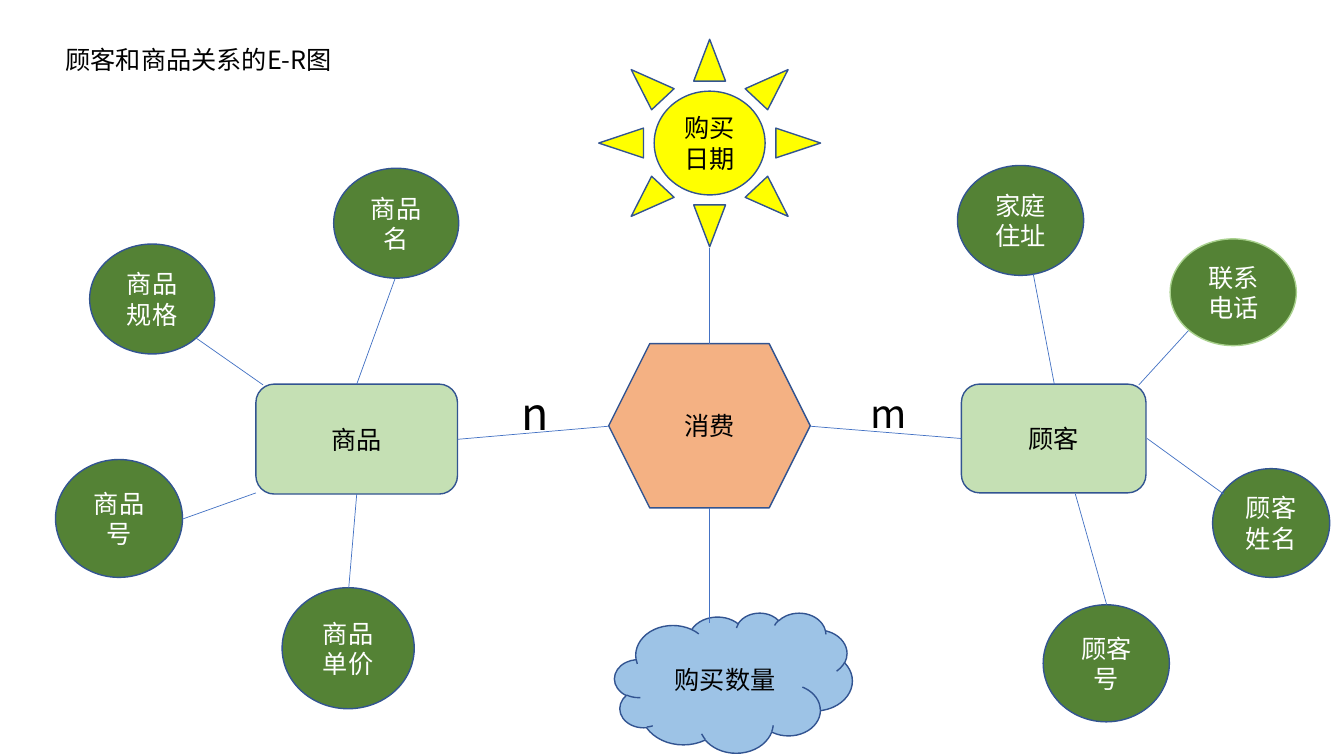
from lxml.etree import SubElement
from pptx import Presentation
from pptx.dml.color import RGBColor
from pptx.enum.shapes import MSO_CONNECTOR, MSO_SHAPE
from pptx.enum.text import MSO_ANCHOR, MSO_AUTO_SIZE, PP_ALIGN
from pptx.oxml.ns import qn
from pptx.util import Cm, Pt

FONT = "Noto Sans CJK SC"
BLACK, WHITE = "000000", "FFFFFF"
EDGE, LINK = "325491", "4472C4"
GREEN, PALE, LIME = "548235", "C5E0B4", "A9D18E"
ORANGE, BLUE, YELLOW = "F4B183", "9DC3E6", "FFFF00"


def color(code):
    return RGBColor.from_string(code)


class Chart:
    """Style and current slide of the E-R diagram."""

    def __init__(self, deck):
        self.slide = deck.slides.add_slide(deck.slide_layouts[6])
        self.shapes = self.slide.shapes

    def letter(self, frame, text, size, ink, align, style):
        for name, value in style.items():
            setattr(frame, name, value)
        para = frame.paragraphs[0]
        para.alignment = align
        run = para.add_run()
        run.text = text
        for name, value in {"size": Pt(size), "name": FONT}.items():
            setattr(run.font, name, value)
        run.font.color.rgb = color(ink)
        SubElement(run._r.get_or_add_rPr(), qn("a:ea"), typeface=FONT)

    def node(self, kind, text, box, fill, ink=BLACK, edge=EDGE):
        shape = self.shapes.add_shape(kind, *map(Cm, box))
        shape.shadow.inherit = False
        shape.fill.solid()
        shape.fill.fore_color.rgb = color(fill)
        shape.line.color.rgb = color(edge)
        shape.line.width = Pt(1)
        self.letter(shape.text_frame, text, 18, ink, PP_ALIGN.CENTER,
                    {"word_wrap": True, "vertical_anchor": MSO_ANCHOR.MIDDLE})

    def link(self, start, end):
        line = self.shapes.add_connector(
            MSO_CONNECTOR.STRAIGHT, *map(Cm, start + end))
        line.line.color.rgb = color(LINK)
        line.line.width = Pt(0.5)
        SubElement(line._element.spPr, qn("a:effectLst"))

    def label(self, text, box, size, wrap=True):
        frame = self.shapes.add_textbox(*map(Cm, box)).text_frame
        self.letter(frame, text, size, BLACK, PP_ALIGN.LEFT,
                    {"word_wrap": wrap,
                     "auto_size": MSO_AUTO_SIZE.SHAPE_TO_FIT_TEXT})


deck = Presentation()
deck.slide_width, deck.slide_height = Cm(33.87), Cm(19.05)
chart = Chart(deck)

# Attributes of customer and goods
traits = [
    ("联系电话", (29.49, 6.02, 3.18, 2.69), LIME),
    ("家庭住址", (24.13, 4.17, 3.18, 2.77), EDGE),
    ("顾客姓名", (30.56, 11.81, 2.95, 2.74), EDGE),
    ("顾客号", (26.29, 15.24, 3.18, 2.95), EDGE),
    ("商品名", (8.41, 4.24, 3.15, 2.77), EDGE),
    ("商品规格", (2.26, 6.15, 3.15, 2.77), EDGE),
    ("商品号", (1.4, 11.58, 3.2, 2.97), EDGE),
    ("商品单价", (7.11, 14.81, 3.33, 3.05), EDGE),
]
for text, box, edge in traits:
    chart.node(MSO_SHAPE.OVAL, text, box, GREEN, WHITE, edge)

# Entities, the relation and its attributes
cores = [
    (MSO_SHAPE.ROUNDED_RECTANGLE, "顾客", (24.23, 9.68, 4.65, 2.74), PALE),
    (MSO_SHAPE.HEXAGON, "消费", (15.34, 8.66, 5.08, 4.14), ORANGE),
    (MSO_SHAPE.CLOUD, "购买数量", (15.49, 15.44, 5.99, 3.53), BLUE),
    (MSO_SHAPE.SUN, "购买日期", (15.09, 0.99, 5.59, 5.23), YELLOW),
    (MSO_SHAPE.ROUNDED_RECTANGLE, "商品", (6.45, 9.68, 5.08, 2.77), PALE),
]
for core in cores:
    chart.node(*core)

# Links
links = [
    # Relation
    ((17.88, 6.25), (17.88, 8.66)),
    ((20.42, 10.74), (24.23, 11.05)),
    ((11.53, 11.07), (15.34, 10.74)),
    ((17.88, 12.8), (17.88, 15.7)),
    # Customer
    ((26.04, 6.91), (26.57, 9.68)),
    ((29.95, 8.33), (28.7, 9.7)),
    ((28.91, 11.05), (30.84, 12.45)),
    ((27.1, 12.45), (27.89, 15.24)),
    # Goods
    ((9.96, 7.01), (8.99, 9.68)),
    ((4.93, 8.51), (6.63, 9.7)),
    ((4.6, 13.08), (6.45, 12.42)),
    ((8.99, 12.45), (8.79, 14.81)),
]
for start, end in links:
    chart.link(start, end)

# Cardinalities and title
chart.label("m", (21.69, 9.68, 1.35, 1.45), 28, wrap=False)
chart.label("n", (12.9, 9.6, 1.19, 1.63), 32)
chart.label("顾客和商品关系的E-R图", (1.4, 0.99, 9.37, 1.02), 18)

deck.save("out.pptx")
